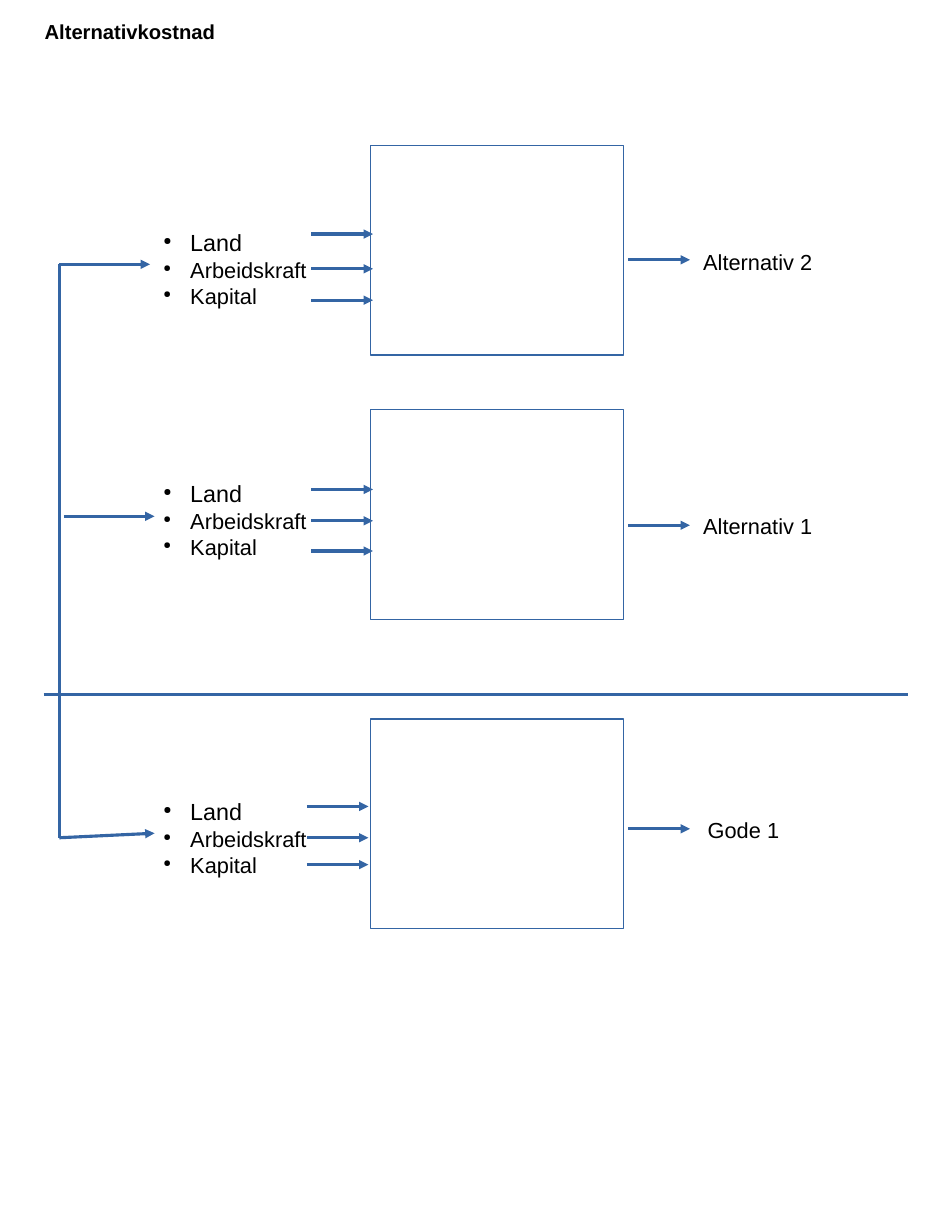
import pptx
import pptx.dml.color
import pptx.enum.shapes
import pptx.enum.text
import pptx.oxml.ns
import pptx.util
from lxml import etree
from pptx.util import Inches


def colour(code):
    """Turn a hex string into a colour."""
    return pptx.dml.color.RGBColor.from_string(code)


def add_element(parent, tag, **attributes):
    """Append a drawing element to its parent."""
    element = etree.SubElement(parent, pptx.oxml.ns.qn(tag))
    for name, value in attributes.items():
        element.set(name, value)
    return element


class Diagram:
    """Hold the style and the current slide."""

    blue, white, black = "3465A4", "FFFFFF", "000000"
    font_name = "Arial"

    def __init__(self, page):
        """Keep the slide to draw on."""
        self.page = page

    def style_line(self, line):
        """Give a line the hairline style."""
        line.color.rgb = colour(self.blue)
        line.width = 0

    def box(self, left, top, width, height):
        """Draw an outlined rectangle."""
        box = self.page.shapes.add_shape(
            pptx.enum.shapes.MSO_SHAPE.RECTANGLE,
            Inches(left), Inches(top), Inches(width), Inches(height))
        box.shadow.inherit = False
        box.fill.solid()
        box.fill.fore_color.rgb = colour(self.white)
        self.style_line(box.line)

    def line(self, start, end, arrow=False):
        """Draw a straight line, with an arrowhead at its end if asked."""
        line = self.page.shapes.add_connector(
            pptx.enum.shapes.MSO_CONNECTOR.STRAIGHT,
            *map(Inches, start), *map(Inches, end))
        self.style_line(line.line)
        if arrow:
            add_element(line.line._get_or_add_ln(), "a:tailEnd", type="triangle")
        add_element(line._element.spPr, "a:effectLst")

    def arrow(self, left, top, length):
        """Draw a level arrow to the right."""
        self.line((left, top), (left + length, top), arrow=True)

    def bullet(self, para):
        """Give a paragraph a hanging round bullet."""
        properties = para._p.get_or_add_pPr()
        indent = Inches(0.24)
        properties.set("marL", str(indent))
        properties.set("indent", str(-indent))
        bullet_colour = add_element(properties, "a:buClr")
        add_element(bullet_colour, "a:srgbClr", val=self.black)
        add_element(properties, "a:buSzPct", val="45000")
        add_element(properties, "a:buChar", char="●")

    def text(self, left, top, width, height, lines, bold=False, bullets=False, wrap=False):
        """Write lines, each given as words and a size."""
        box = self.page.shapes.add_textbox(
            Inches(left), Inches(top), Inches(width), Inches(height))
        frame = box.text_frame
        frame.word_wrap = wrap
        frame.auto_size = pptx.enum.text.MSO_AUTO_SIZE.SHAPE_TO_FIT_TEXT
        for index, (words, size) in enumerate(lines):
            para = frame.add_paragraph() if index else frame.paragraphs[0]
            para.text = words
            if bullets:
                self.bullet(para)
            para.font.name = self.font_name
            para.font.size = pptx.util.Pt(size)
            para.font.bold = bold
            para.font.color.rgb = colour(self.black)


def main():
    """Build the opportunity cost diagram."""
    deck = pptx.Presentation()
    deck.slide_width, deck.slide_height = Inches(8.5), Inches(11)
    diagram = Diagram(deck.slides.add_slide(deck.slide_layouts[6]))

    factors = [("Land", 15), ("Arbeidskraft", 14), ("Kapital", 14)]
    rows = [
        (1.3, 1.99, 2.78, (2.09, 2.4, 2.68), 2.32, "Alternativ 2", (6.18, 2.17, 1.18)),
        (3.66, 4.23, 2.78, (4.37, 4.65, 4.92), 4.69, "Alternativ 1", (6.18, 4.53, 1.18)),
        (6.42, 7.07, 2.74, (7.2, 7.48, 7.72), 7.4, "Gode 1", (6.22, 7.24, 0.84)),
    ]
    for box_top, list_top, input_left, input_tops, output_top, result, place in rows:
        diagram.box(3.31, box_top, 2.26, 1.87)
        for input_top in input_tops:
            diagram.arrow(input_left, input_top, 0.55)
        diagram.arrow(5.61, output_top, 0.55)
        diagram.text(1.36, list_top, 1.48, 0.77, factors, bullets=True)
        diagram.text(*place, 0.32, [(result, 14)])

    diagram.line((0.39, 6.2), (8.11, 6.2))
    diagram.line((0.53, 2.36), (0.53, 7.48))
    diagram.arrow(0.53, 2.36, 0.81)
    diagram.arrow(0.57, 4.61, 0.81)
    diagram.line((0.53, 7.48), (1.38, 7.44), arrow=True)
    diagram.text(0.3, 0.12, 3.41, 0.38, [("Alternativkostnad", 13)], bold=True, wrap=True)

    deck.save("out.pptx")


if __name__ == "__main__":
    main()
